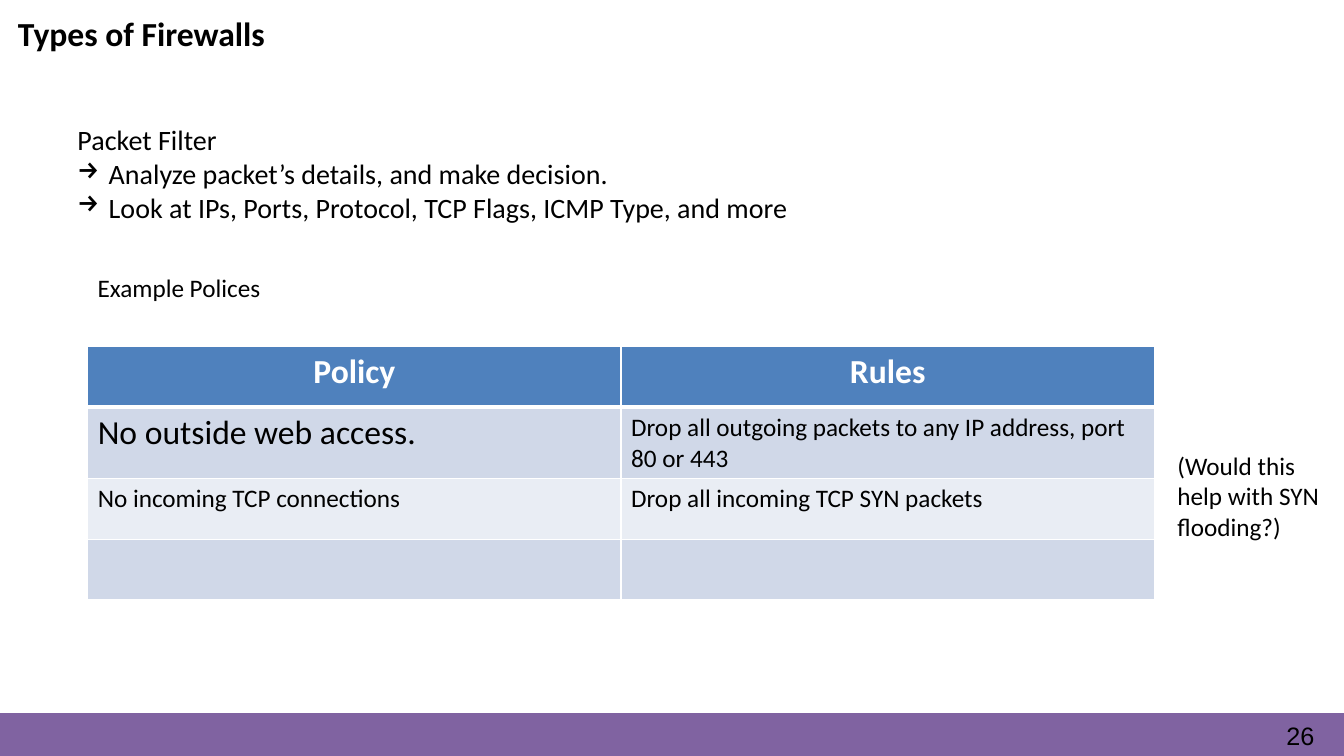
from dataclasses import dataclass

from lxml import etree
from pptx import Presentation
from pptx import util as u
from pptx.dml import color
from pptx.enum import shapes, text
from pptx.oxml import ns


@dataclass(frozen=True)
class Theme:
    black: str = "000000"
    white: str = "FFFFFF"
    footer: str = "8063A1"
    header: str = "4F81BD"
    bands: tuple[str, str] = ("D0D8E8", "E9EDF4")
    body_font: str = "Calibri"
    number_font: str = "Arial"
    large: int = 24
    medium: int = 20
    small: int = 18


THEME = Theme()


@dataclass(frozen=True)
class Line:
    words: str
    size: int = THEME.small
    bold: bool = False
    ink: str = THEME.black
    font: str = THEME.body_font
    bullet: str = ""
    centred: bool = False


@dataclass(frozen=True)
class Block:
    box: tuple[float, float, float, float]
    lines: tuple[Line, ...]
    padded: bool = True


BLOCKS = (
    Block((0.08, 0.08, 3.12, 0.5), (Line("Types of Firewalls", THEME.large, True),)),
    Block((0.67, 1.17, 8.29, 1.11), (
        Line("Packet Filter", THEME.medium),
        Line("Analyze packet’s details, and make decision.", THEME.medium, bullet="→"),
        Line("Look at IPs, Ports, Protocol, TCP Flags, ICMP Type, and more",
             THEME.medium, bullet="→"),
    )),
    Block((0.87, 2.65, 2.07, 0.4), (Line("Example Polices"),)),
    Block((11.58, 4.42, 1.71, 1.31), (Line("(Would this help with SYN flooding?)"),)),
    Block((12.76, 7.15, 0.53, 0.31), (Line("26", font=THEME.number_font),), padded=False),
)

POLICY_ROWS = (
    tuple(Line(title, THEME.large, True, THEME.white, centred=True)
          for title in ("Policy", "Rules")),
    (Line("No outside web access.", THEME.large),
     Line("Drop all outgoing packets to any IP address, port 80 or 443")),
    (Line("No incoming TCP connections"), Line("Drop all incoming TCP SYN packets")),
    (Line(""), Line("")),
)
ROW_HEIGHTS = (0.6, 0.71, 0.6, 0.6)
COLUMN_WIDTH = 5.29
HANGING = 0.31


def rgb(code: str) -> color.RGBColor:
    return color.RGBColor.from_string(code)


def write_lines(frame, lines: tuple[Line, ...]) -> None:
    for index, line in enumerate(lines):
        paragraph = frame.paragraphs[0] if index == 0 else frame.add_paragraph()
        if line.bullet:
            properties = paragraph._p.get_or_add_pPr()
            properties.set("marL", str(u.Inches(HANGING)))
            properties.set("indent", str(-u.Inches(HANGING)))
            etree.SubElement(properties, ns.qn("a:buChar")).set("char", line.bullet)
        if line.centred:
            paragraph.alignment = text.PP_ALIGN.CENTER
        target = paragraph.font
        if line.words:
            run = paragraph.add_run()
            run.text = line.words
            target = run.font
        formats = {"size": u.Pt(line.size), "bold": line.bold, "name": line.font}
        for name, value in formats.items():
            setattr(target, name, value)
        target.color.rgb = rgb(line.ink)


def add_block(slide, block: Block) -> None:
    frame = slide.shapes.add_textbox(*map(u.Inches, block.box)).text_frame
    frame.word_wrap = True
    if not block.padded:
        for side in ("left", "top", "right", "bottom"):
            setattr(frame, f"margin_{side}", 0)
    write_lines(frame, block.lines)


def add_footer(slide) -> None:
    band = slide.shapes.add_shape(
        shapes.MSO_SHAPE.RECTANGLE, *map(u.Inches, (0, 7.08, 13.33, 0.42)))
    band.shadow.inherit = False
    band.fill.solid()
    band.fill.fore_color.rgb = rgb(THEME.footer)
    band.line.color.rgb = rgb(THEME.footer)
    band.line.width = u.Pt(1)


def add_borders(cell, widths: dict[str, int]) -> None:
    properties = cell._tc.get_or_add_tcPr()
    for side, width in widths.items():
        border = etree.SubElement(properties, ns.qn(f"a:ln{side}"), w=str(u.Pt(width)))
        fill = etree.SubElement(border, ns.qn("a:solidFill"))
        etree.SubElement(fill, ns.qn("a:srgbClr")).set("val", THEME.white)


def add_policy_table(slide) -> None:
    columns = len(POLICY_ROWS[0])
    box = (0.87, 3.44, COLUMN_WIDTH * columns, sum(ROW_HEIGHTS))
    table = slide.shapes.add_table(
        len(POLICY_ROWS), columns, *map(u.Inches, box)).table
    for column in table.columns:
        column.width = u.Inches(COLUMN_WIDTH)
    for r, policy in enumerate(POLICY_ROWS):
        table.rows[r].height = u.Inches(ROW_HEIGHTS[r])
        # A thick rule separates the header from the policies
        widths = {"L": 1, "R": 1, "T": 3 if r == 1 else 1, "B": 3 if r == 0 else 1}
        shade = THEME.bands[(r - 1) % 2] if r else THEME.header
        for c, line in enumerate(policy):
            cell = table.cell(r, c)
            add_borders(cell, widths)
            cell.fill.solid()
            cell.fill.fore_color.rgb = rgb(shade)
            write_lines(cell.text_frame, (line,))


def main() -> None:
    deck = Presentation()
    deck.slide_width, deck.slide_height = u.Inches(13.33), u.Inches(7.5)
    slide = deck.slides.add_slide(deck.slide_layouts[6])

    # Footer band, then the texts above it
    add_footer(slide)
    for block in BLOCKS:
        add_block(slide, block)

    # Example policies and their rules
    add_policy_table(slide)
    deck.save("out.pptx")


if __name__ == "__main__":
    main()
